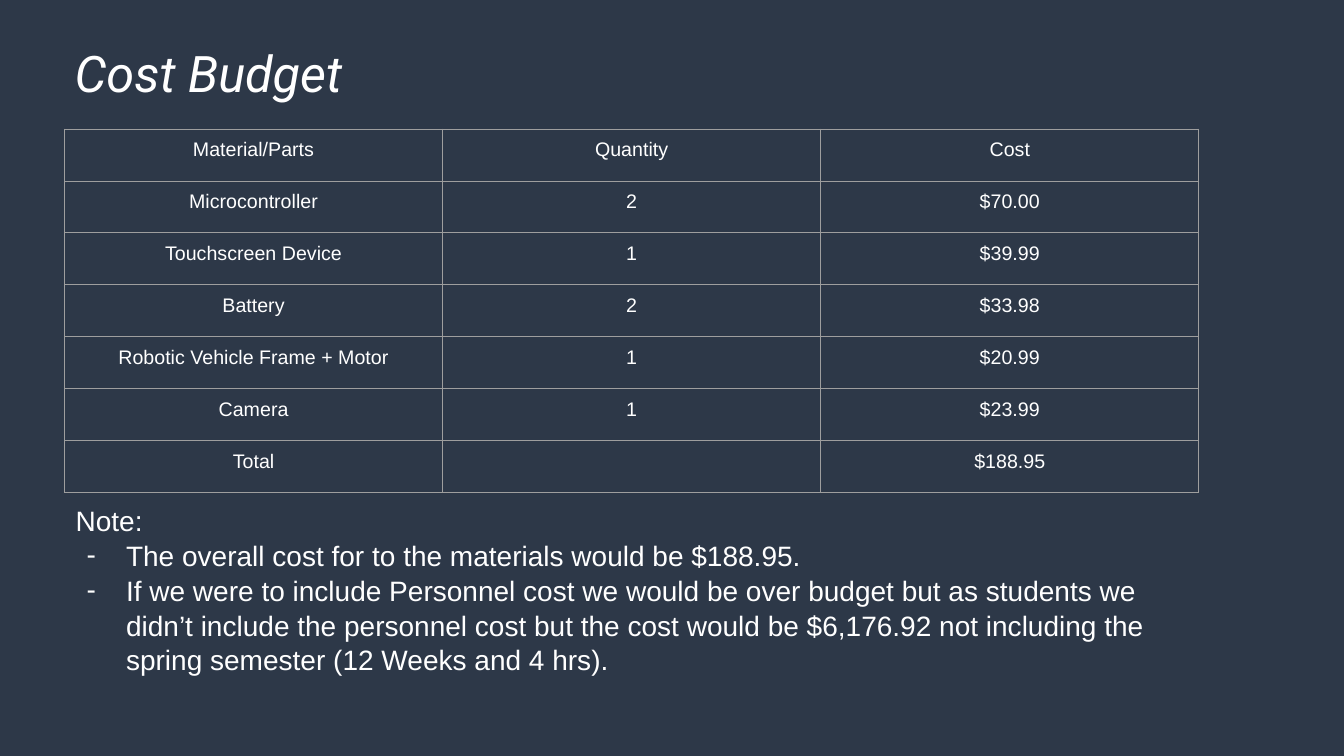
"""Build the cost budget slide with its parts table and notes."""
from lxml.etree import SubElement
from pptx import Presentation
from pptx.dml.color import RGBColor
from pptx.enum.text import MSO_ANCHOR, MSO_AUTO_SIZE, PP_ALIGN
from pptx.oxml.ns import qn
from pptx.util import Inches, Pt

COLORS = {"background": "2D3848", "text": "FFFFFF", "border": "9E9E9E"}
LEFT, TABLE_TOP, COLUMN, ROW = 0.64, 1.28, 3.75, 3.61 / 7
PARTS = [
    ("Material/Parts", "Quantity", "Cost"),
    ("Microcontroller", "2", "$70.00"),
    ("Touchscreen Device", "1", "$39.99"),
    ("Battery", "2", "$33.98"),
    ("Robotic Vehicle Frame + Motor", "1", "$20.99"),
    ("Camera", "1", "$23.99"),
    ("Total", "", "$188.95"),
]
NOTES = [
    "Note:",
    "The overall cost for to the materials would be $188.95.",
    "If we were to include Personnel cost we would be over budget but as "
    "students we didn’t include the personnel cost but the cost would be "
    "$6,176.92 not including the spring semester (12 Weeks and 4 hrs).",
]


def write(para, text, size, font="Arial", italic=False, align=PP_ALIGN.LEFT, spacing=1.0):
    """Put one formatted span into a paragraph."""
    para.alignment = align
    para.line_spacing = spacing
    para.space_before = para.space_after = Pt(0)
    span = para.add_run()
    span.text = text
    span.font.name, span.font.size = font, Pt(size)
    span.font.italic, span.font.bold = italic, False
    span.font.color.rgb = RGBColor.from_string(COLORS["text"])


def place(box, left, top, width, height, anchor, inset):
    """Move a placeholder and set up its text frame."""
    box.left, box.top = Inches(left), Inches(top)
    box.width, box.height = Inches(width), Inches(height)
    frame = box.text_frame
    frame.word_wrap, frame.auto_size = True, MSO_AUTO_SIZE.NONE
    frame.vertical_anchor = anchor
    frame.margin_left = frame.margin_right = Inches(0.1)
    frame.margin_top = frame.margin_bottom = Inches(inset)
    return frame


deck = Presentation()
deck.slide_width, deck.slide_height = Inches(13.33), Inches(7.5)
page = deck.slides.add_slide(deck.slide_layouts[1])
page.background.fill.solid()
page.background.fill.fore_color.rgb = RGBColor.from_string(COLORS["background"])

title = place(page.shapes.title, LEFT, -1.09, 11.02, 2.16, MSO_ANCHOR.BOTTOM, 0.05)
write(title.paragraphs[0], "Cost Budget", 36, font="Roboto", italic=True)

table = page.shapes.add_table(
    len(PARTS), len(PARTS[0]), Inches(LEFT), Inches(TABLE_TOP),
    Inches(COLUMN * len(PARTS[0])), Inches(ROW * len(PARTS)),
).table
table.first_row = table.horz_banding = False
for row, values in enumerate(PARTS):
    table.rows[row].height = Inches(ROW)
    for column, value in enumerate(values):
        cell = table.cell(row, column)
        cell.margin_left = cell.margin_right = Inches(0.1)
        cell.margin_top = cell.margin_bottom = Inches(0.1)
        write(cell.text_frame.paragraphs[0], value, 14, align=PP_ALIGN.CENTER)
        properties = cell._tc.get_or_add_tcPr()
        for side in ("a:lnL", "a:lnR", "a:lnT", "a:lnB"):
            line = SubElement(properties, qn(side), w=str(Pt(0.75)))
            fill = SubElement(line, qn("a:solidFill"))
            SubElement(fill, qn("a:srgbClr"), val=COLORS["border"])
        cell.fill.background()

notes = place(page.placeholders[1], 0.65, 4.88, 11.25, 2.27, MSO_ANCHOR.TOP, 0.1)
for index, note in enumerate(NOTES):
    para = notes.paragraphs[0] if index == 0 else notes.add_paragraph()
    properties = para._p.get_or_add_pPr()
    indent, hanging = (0.5, -0.39) if index else (0, 0)
    properties.set("marL", str(Inches(indent)))
    properties.set("indent", str(Inches(hanging)))
    if index:
        color = SubElement(properties, qn("a:buClr"))
        SubElement(color, qn("a:srgbClr"), val=COLORS["text"])
        SubElement(properties, qn("a:buFont"), typeface="Arial")
        SubElement(properties, qn("a:buChar"), char="-")
    else:
        SubElement(properties, qn("a:buNone"))
    write(para, note, 20, spacing=1.04)

deck.save("out.pptx")
